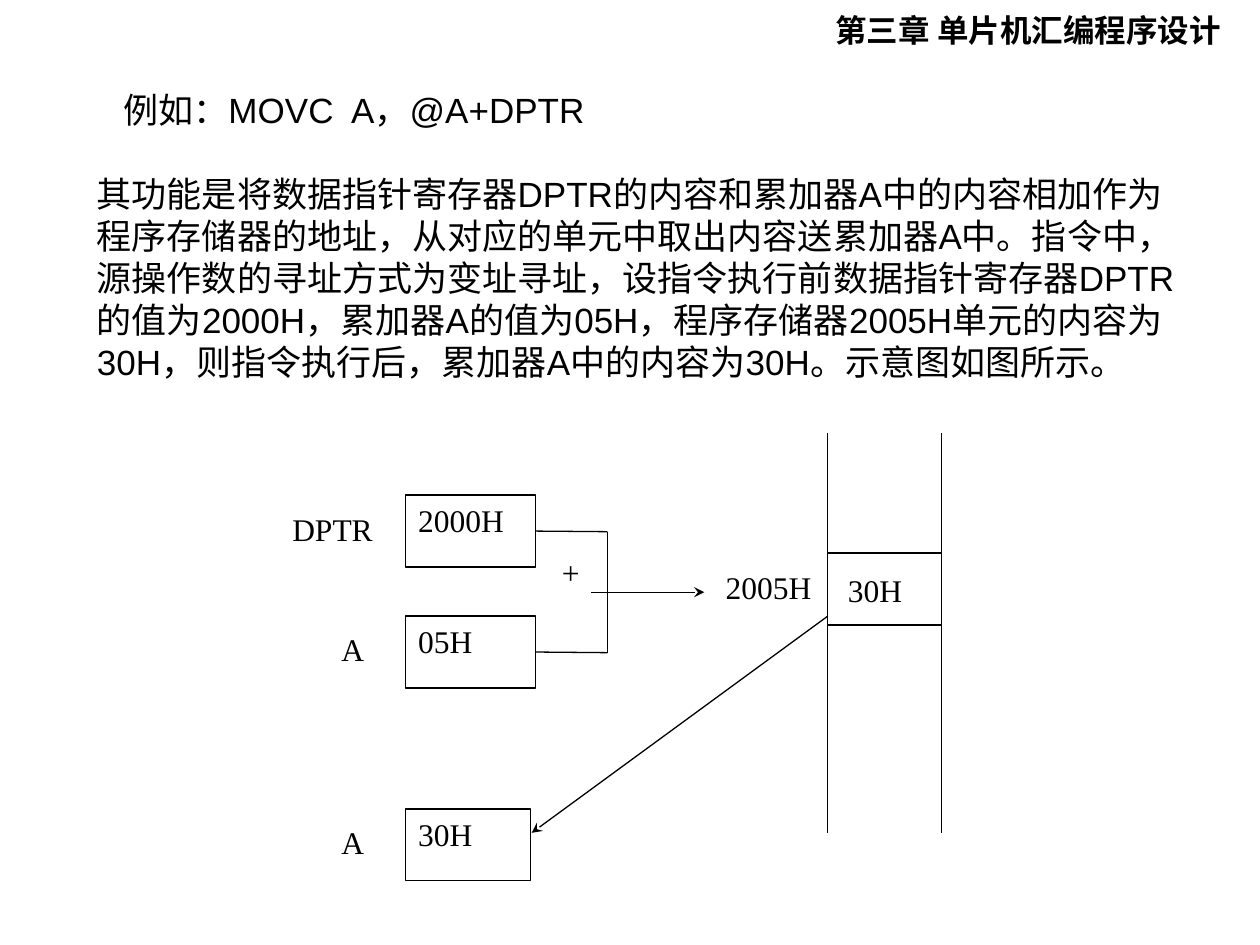
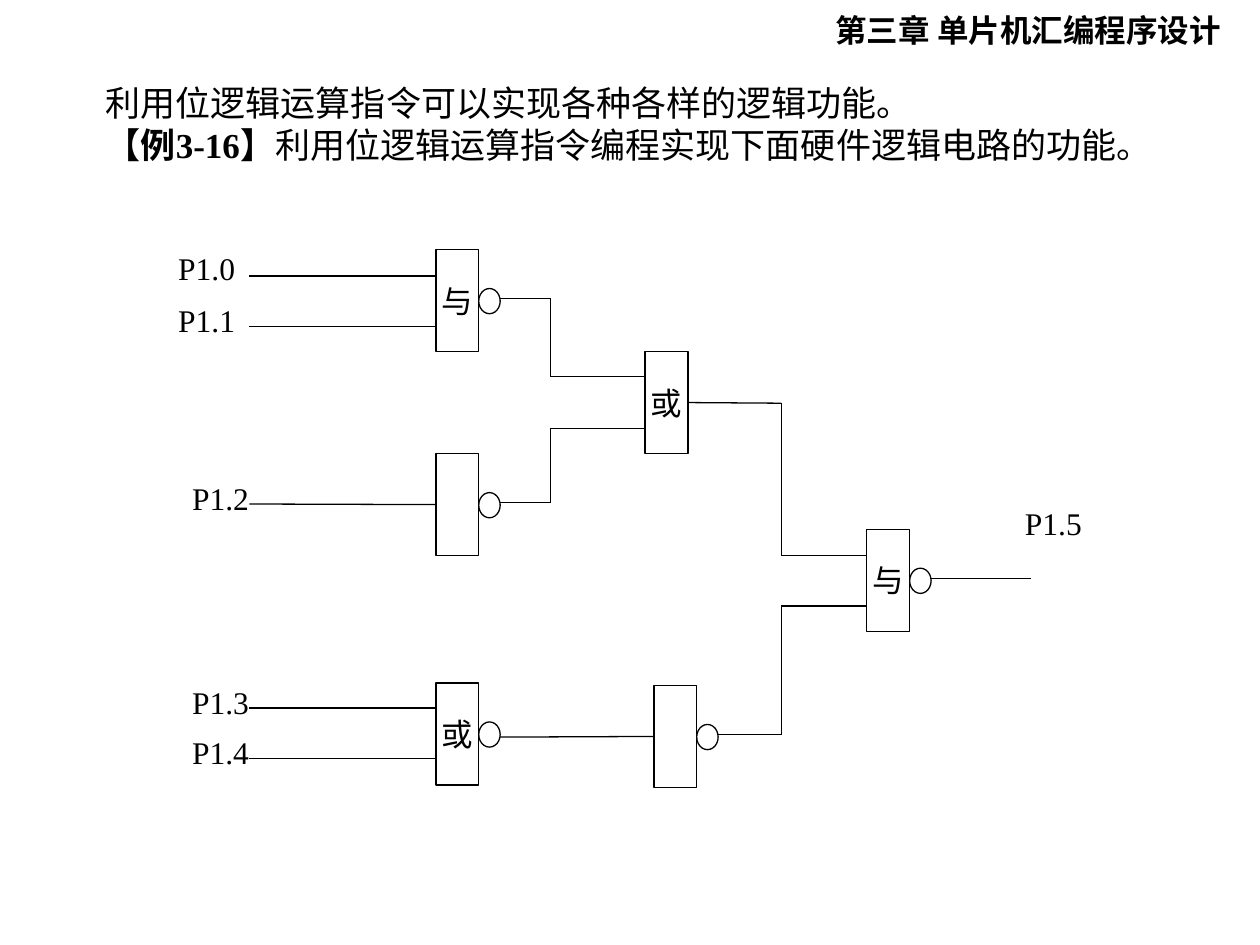
from itertools import pairwise

from lxml import etree
from pptx import Presentation
from pptx.dml.color import RGBColor
from pptx.enum import shapes, text
from pptx.oxml import ns
from pptx.util import Inches, Pt

INK = {"text": "000000", "line": "000000", "fill": "FFFFFF"}
SERIF, SANS = "Times New Roman", "Arial"
HAN, HEAD = "Noto Sans CJK SC", "Noto Sans CJK JP"
TOP, MID = text.MSO_ANCHOR.TOP, text.MSO_ANCHOR.MIDDLE
LEFT, MIDDLE = text.PP_ALIGN.LEFT, text.PP_ALIGN.CENTER
PAD = (0.1, 0.05)
CHAPTER = "第三章 单片机汇编程序设计"

GATE_W, GATE_H = 0.34, 0.81
DOT_W, DOT_H = 0.17, 0.2


def color(name):
    return RGBColor.from_string(INK[name])


def write(frame, paras, size=18, font=SERIF, bold=False, align=LEFT,
          anchor=TOP, pad=(0, 0), wrap=True):
    """Fill a frame; a paragraph is a string or a list of (text, font, bold)."""
    frame.word_wrap = wrap
    frame.auto_size = text.MSO_AUTO_SIZE.NONE
    frame.vertical_anchor = anchor
    frame.margin_left = frame.margin_right = Inches(pad[0])
    frame.margin_top = frame.margin_bottom = Inches(pad[1])
    for i, parts in enumerate(paras):
        para = frame.add_paragraph() if i else frame.paragraphs[0]
        para.alignment = align
        if isinstance(parts, str):
            parts = [(parts, font, bold)]
        for words, face, heavy in parts:
            run = para.add_run()
            run.text = words
            run.font.size = Pt(size)
            run.font.bold = heavy
            run.font.name = face
            run.font.color.rgb = color("text")
            east = etree.SubElement(run.font._element, ns.qn("a:ea"))
            east.set("typeface", face if face == HEAD else HAN)


def label(slide, x, y, w, h, *paras, **fmt):
    box = slide.shapes.add_textbox(*map(Inches, (x, y, w, h)))
    write(box.text_frame, paras, **fmt)


def shape(slide, kind, x, y, w, h, words="", **fmt):
    item = slide.shapes.add_shape(kind, *map(Inches, (x, y, w, h)))
    item.shadow.inherit = False
    item.fill.solid()
    item.fill.fore_color.rgb = color("fill")
    item.line.color.rgb = color("line")
    item.line.width = Pt(0.75)
    if words:
        write(item.text_frame, [words], **fmt)
    return item


def cell(slide, x, y, w, words):
    """Draw a register box."""
    return shape(slide, shapes.MSO_SHAPE.RECTANGLE, x, y, w, 0.57, words,
                 pad=PAD)


def gate(slide, x, y, words="", invert=True):
    """Draw a logic gate, with a circle on its right side if it inverts."""
    body = shape(slide, shapes.MSO_SHAPE.RECTANGLE, x, y, GATE_W, GATE_H,
                 words, align=MIDDLE, anchor=MID)
    if invert:
        shape(slide, shapes.MSO_SHAPE.OVAL, x + GATE_W, y + 0.31,
              DOT_W, DOT_H)
    return body


def wire(slide, *points, start=None, end=None, arrow=False):
    """Draw straight lines through points; start and end are (shape, side)."""
    lines = []
    for a, b in pairwise(points):
        line = slide.shapes.add_connector(
            shapes.MSO_CONNECTOR.STRAIGHT, *map(Inches, a + b))
        line.line.color.rgb = color("line")
        line.line.width = Pt(0.75)
        etree.SubElement(line._element.spPr, ns.qn("a:effectLst"))
        lines.append(line)
    if start:
        lines[0].begin_connect(*start)
    if end:
        lines[-1].end_connect(*end)
    if arrow:
        tip = etree.SubElement(lines[-1].line._get_or_add_ln(),
                               ns.qn("a:tailEnd"))
        tip.set("type", "stealth")


def page(deck):
    """Add a slide headed by the chapter name."""
    slide = deck.slides.add_slide(deck.slide_layouts[5])
    title = slide.shapes.title
    title.left, title.top, title.width, title.height = map(
        Inches, (6.53, 0.04, 3.45, 0.4))
    write(title.text_frame, [CHAPTER], font=HEAD, bold=True, anchor=MID,
          pad=PAD, wrap=False)
    return slide


def lookup(deck):
    """Show how MOVC forms its address and fetches the byte."""
    slide = page(deck)
    label(slide, 0.88, 0.65, 4.07, 0.44, "例如：MOVC  A，@A+DPTR",
          size=20, font=SANS, pad=PAD, wrap=False)
    label(slide, 0.67, 1.15, 8.82, 2.1,
          "其功能是将数据指针寄存器DPTR的内容和累加器A中的内容相加作为程序存储器的地址，"
          "从对应的单元中取出内容送累加器A中。指令中，源操作数的寻址方式为变址寻址，"
          "设指令执行前数据指针寄存器DPTR的值为2000H，累加器A的值为05H，"
          "程序存储器2005H单元的内容为30H，则指令执行后，累加器A中的内容为30H。"
          "示意图如图所示。",
          size=20, font=SANS, anchor=MID, pad=PAD)

    base = cell(slide, 3.22, 3.93, 1.03, "2000H")
    index = cell(slide, 3.22, 4.89, 1.03, "05H")
    cell(slide, 3.22, 6.42, 0.99, "30H")

    left, right = 6.57, 7.47
    for x in (left, right):
        wire(slide, (x, 3.44), (x, 6.61))
    for y in (4.39, 4.96):
        wire(slide, (left, y), (right, y))

    wire(slide, (4.25, 4.22), (4.82, 4.22), (4.82, 5.18), (4.25, 5.18),
         start=(base, 3), end=(index, 3))
    wire(slide, (4.69, 4.7), (5.59, 4.7), arrow=True)
    wire(slide, (left, 4.89), (4.22, 6.61), arrow=True)

    for words, x, y, w in (("DPTR", 2.32, 4.05, 0.9), ("A", 2.71, 5, 0.5),
                           ("A", 2.71, 6.53, 0.5), ("+", 4.46, 4.39, 0.5),
                           ("2005H", 5.76, 4.51, 0.81),
                           ("30H", 6.73, 4.53, 0.51)):
        label(slide, x, y, w, 0.3, words)


def circuit(deck):
    """Show the logic circuit of example 3-16."""
    slide = page(deck)
    label(slide, 0.74, 0.6, 8.63, 0.77,
          "利用位逻辑运算指令可以实现各种各样的逻辑功能。",
          [("【", HAN, True), ("例3-16", SERIF, True), ("】", HAN, True),
           ("利用位逻辑运算指令编程实现下面硬件逻辑电路的功能。", SERIF, False)],
          size=20, pad=PAD, wrap=False)

    first = 3.46
    gate(slide, first, 1.98, "与")
    flip = gate(slide, first, 3.6)
    gate(slide, first, 5.42, "或")
    join = gate(slide, 5.12, 2.79, "或", invert=False)
    turn = gate(slide, 5.19, 5.44)
    gate(slide, 6.88, 4.2, "与")

    for y in (2.19, 2.59, 5.62, 6.02):
        wire(slide, (1.98, y), (first, y))
    wire(slide, (1.98, 4), (first, 4), end=(flip, 1))

    out = first + GATE_W + DOT_W
    wire(slide, (out, 2.37), (4.37, 2.37), (4.37, 2.99), (5.12, 2.99))
    wire(slide, (out, 3.99), (4.37, 3.99), (4.37, 3.4), (5.12, 3.4))
    wire(slide, (out, 5.85), (5.19, 5.85), end=(turn, 1))
    wire(slide, (5.46, 3.2), (6.2, 3.2), (6.2, 4.41), (6.88, 4.41),
         start=(join, 3))
    wire(slide, (5.7, 5.83), (6.2, 5.83), (6.2, 4.81), (6.88, 4.81))
    wire(slide, (7.39, 4.59), (8.18, 4.59))

    for words, x, y in (("P1.0", 1.3, 1.98), ("P1.1", 1.3, 2.39),
                        ("P1.2", 1.41, 3.8), ("P1.3", 1.41, 5.42),
                        ("P1.4", 1.41, 5.82), ("P1.5", 8.02, 4)):
        label(slide, x, y, 0.68, 0.3, words, align=MIDDLE, anchor=MID)


def main():
    deck = Presentation()
    deck.slide_width, deck.slide_height = Inches(10), Inches(7.5)
    lookup(deck)
    circuit(deck)
    deck.save("out.pptx")


if __name__ == "__main__":
    main()
